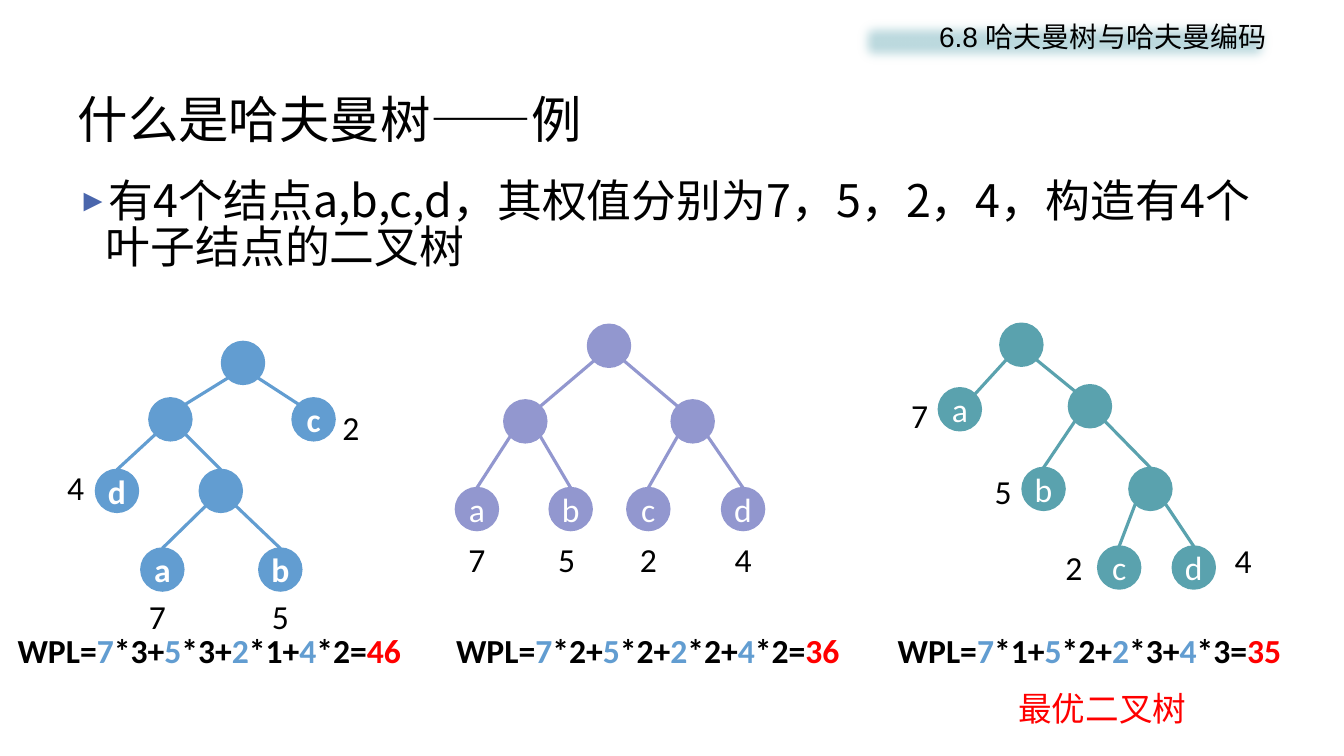
from dataclasses import dataclass

import pptx
import pptx.dml.color
import pptx.enum.shapes
import pptx.enum.text
import pptx.oxml
import pptx.oxml.ns
import pptx.util

ALIGN = pptx.enum.text.PP_ALIGN
ANCHOR = pptx.enum.text.MSO_ANCHOR
SHAPE = pptx.enum.shapes.MSO_SHAPE
NSDECL = pptx.oxml.ns.nsdecls("a")


@dataclass(frozen=True)
class Theme:
    text: str = "000000"
    inverse: str = "FFFFFF"
    blue: str = "629DD1"
    violet: str = "9297CF"
    teal: str = "5AA2AE"
    bullet: str = "4A66AC"
    result: str = "FF0000"
    banner: str = "BDDADF"
    chinese: str = "Noto Sans CJK SC"
    latin: str = "Calibri"
    header: str = "Arial"
    title_size: int = 36
    body_size: int = 32
    label_size: int = 24
    header_size: int = 20


THEME = Theme()
NODE = 42       # node diameter
NEAR, FAR = 6, 36   # diagonal points of a node's circle
WEIGHTS = {"a": 7, "b": 5, "c": 2, "d": 4}

# node: (x, y, parent); weight: (x, y); all relative to the tree's origin
TREES = [
    dict(origin=(54, 339), color=THEME.blue, bold=True, formula=(-5, 620, 425, 50),
         nodes={"root": (166, 0, None), "left": (94, 56, "root"),
                "d": (41, 127, "left"), "inner": (144, 127, "left"),
                "c": (236, 56, "root"), "a": (86, 205, "inner"),
                "b": (203, 205, "inner")},
         weights={"c": (273, 60), "d": (0, 119), "a": (81, 247), "b": (203, 247)}),
    dict(origin=(452, 322), color=THEME.violet, bold=False, formula=(426, 620, 433, 50),
         nodes={"root": (131, 0, None), "left": (48, 75, "root"),
                "a": (0, 162, "left"), "b": (93, 162, "left"),
                "right": (214, 75, "root"), "c": (170, 162, "right"),
                "d": (264, 162, "right")},
         weights={"a": (0, 208), "b": (89, 208), "c": (170, 208), "d": (264, 208)}),
    dict(origin=(891, 321), color=THEME.teal, bold=False, formula=(868, 620, 425, 50),
         nodes={"root": (101, 0, None), "a": (40, 64, "root"),
                "right": (169, 61, "root"), "b": (123, 143, "right"),
                "inner": (229, 143, "right"), "c": (198, 221, "inner"),
                "d": (272, 221, "inner")},
         weights={"a": (0, 66), "b": (83, 141), "c": (153, 217), "d": (321, 210)}),
]


def px(*lengths):
    return [pptx.util.Emu(length * 9144) for length in lengths]


def rgb(color):
    return pptx.dml.color.RGBColor.from_string(color)


def style(run, size, face, color, bold=False):
    """Format a run, using the same face for Latin and East Asian text."""
    font = run.font
    font.size = pptx.util.Pt(size)
    font.bold = bold
    font.color.rgb = rgb(color)
    font.name = face
    run._r.get_or_add_rPr().append(
        pptx.oxml.parse_xml(f'<a:ea {NSDECL} typeface="{face}"/>'))


def place(shape, box):
    shape.left, shape.top, shape.width, shape.height = px(*box)


def add_label(shapes, box, parts, face=THEME.latin, bold=False, align=ALIGN.CENTER, wrap=True):
    """Add a text box whose parts are (text, color) pairs."""
    frame = shapes.add_textbox(*px(*box)).text_frame
    frame.word_wrap = wrap
    paragraph = frame.paragraphs[0]
    paragraph.alignment = align
    for text, color in parts:
        run = paragraph.add_run()
        run.text = text
        style(run, THEME.label_size, face, color, bold)


def fill_title(title, box):
    place(title, box)
    frame = title.text_frame
    frame.text = "什么是哈夫曼树——例"
    frame.auto_size = pptx.enum.text.MSO_AUTO_SIZE.NONE
    frame.vertical_anchor = ANCHOR.MIDDLE
    frame.paragraphs[0].alignment = ALIGN.LEFT
    style(frame.paragraphs[0].runs[0], THEME.title_size, THEME.chinese, THEME.text)


def fill_body(body, box):
    place(body, box)
    frame = body.text_frame
    frame.text = "有4个结点a,b,c,d，其权值分别为7，5，2，4，构造有4个叶子结点的二叉树"
    frame.auto_size = pptx.enum.text.MSO_AUTO_SIZE.NONE
    paragraph = frame.paragraphs[0]
    paragraph.space_before = pptx.util.Pt(0)
    paragraph.line_spacing = 0.85
    properties = paragraph._p.get_or_add_pPr()
    indent, = px(28)
    properties.set("marL", str(indent))
    properties.set("indent", str(-indent))
    for bullet in (f'<a:buClr {NSDECL}><a:srgbClr val="{THEME.bullet}"/></a:buClr>',
                   f'<a:buSzPct {NSDECL} val="70000"/>',
                   f'<a:buFont {NSDECL} typeface="{THEME.header}"/>',
                   f'<a:buChar {NSDECL} char="►"/>'):
        properties.append(pptx.oxml.parse_xml(bullet))
    style(paragraph.runs[0], THEME.body_size, THEME.chinese, THEME.text)


def add_banner(shapes, box):
    """Add the soft-edged chapter heading."""
    banner = shapes.add_shape(SHAPE.RECTANGLE, *px(*box))
    banner.fill.solid()
    banner.fill.fore_color.rgb = rgb(THEME.banner)
    banner.line.fill.background()
    banner._element.spPr.append(pptx.oxml.parse_xml(
        f'<a:effectLst {NSDECL}><a:softEdge rad="112500"/></a:effectLst>'))
    frame = banner.text_frame
    frame.text = "6.8 哈夫曼树与哈夫曼编码"
    frame.vertical_anchor = ANCHOR.TOP
    frame.paragraphs[0].alignment = ALIGN.RIGHT
    style(frame.paragraphs[0].runs[0], THEME.header_size, THEME.header, THEME.text)


def add_node(shapes, x, y, label, color, bold):
    node = shapes.add_shape(SHAPE.OVAL, *px(x, y, NODE, NODE))
    node.shadow.inherit = False
    node.fill.solid()
    node.fill.fore_color.rgb = node.line.color.rgb = rgb(color)
    node.line.width = pptx.util.Pt(1.5)
    if label:
        frame = node.text_frame
        frame.text = label
        frame.word_wrap = False
        frame.vertical_anchor = ANCHOR.MIDDLE
        frame.margin_left = frame.margin_right = frame.margin_top = frame.margin_bottom = 0
        frame.paragraphs[0].alignment = ALIGN.CENTER
        style(frame.paragraphs[0].runs[0], THEME.label_size, THEME.latin, THEME.inverse, bold)
    return node


def add_edge(shapes, parent, child, child_node, below_root, color):
    """Join parent to child: at the near diagonal below the root, else at the top."""
    (parent_x, parent_y), (child_x, child_y) = parent, child
    start, end = (NEAR, FAR) if child_x < parent_x else (FAR, NEAR)
    finish = (child_x + end, child_y + NEAR) if below_root else (child_x + NODE // 2, child_y)
    edge = shapes.add_connector(pptx.enum.shapes.MSO_CONNECTOR.STRAIGHT,
                                *px(parent_x + start, parent_y + FAR, *finish))
    if not below_root:
        edge.end_connect(child_node, 0)
    edge.line.color.rgb = rgb(color)
    edge.line.width = pptx.util.Pt(2.25)
    edge._element.spPr.append(pptx.oxml.parse_xml(f"<a:effectLst {NSDECL}/>"))


def add_tree(slide_shapes, origin, color, bold, nodes, weights):
    shapes = slide_shapes.add_group_shape().shapes
    left, top = origin
    corners = {name: (left + x, top + y) for name, (x, y, _) in nodes.items()}
    circles = {name: add_node(shapes, *corner, name if name in WEIGHTS else "", color, bold)
               for name, corner in corners.items()}
    for name, (_, _, parent) in nodes.items():
        if parent:
            add_edge(shapes, corners[parent], corners[name], circles[name],
                     parent == "root", color)
    for leaf, (x, y) in weights.items():
        add_label(shapes, (left + x, top + y, NODE, 50), [(str(WEIGHTS[leaf]), THEME.text)])


def depth(nodes, name):
    parent = nodes[name][2]
    return 1 + depth(nodes, parent) if parent else 0


def add_formula(shapes, box, nodes):
    """Write the weighted path length, worked out from the leaf depths."""
    parts, total, lead = [], 0, "WPL="
    for leaf, weight in WEIGHTS.items():
        level = depth(nodes, leaf)
        parts += [(lead, THEME.text), (str(weight), THEME.blue)]
        lead = f"*{level}+"
        total += weight * level
    parts += [(lead.replace("+", "="), THEME.text), (str(total), THEME.result)]
    add_label(shapes, box, parts, bold=True)


def main():
    presentation = pptx.Presentation()
    presentation.slide_width, presentation.slide_height = px(1333, 750)
    slide = presentation.slides.add_slide(presentation.slide_layouts[1])
    shapes = slide.shapes
    fill_title(shapes.title, (67, 80, 1200, 75))
    fill_body(slide.placeholders[1], (67, 175, 1200, 133))
    add_banner(shapes, (846, 14, 420, 54))
    for tree in TREES:
        add_tree(shapes, tree["origin"], tree["color"], tree["bold"],
                 tree["nodes"], tree["weights"])
        add_formula(shapes, tree["formula"], tree["nodes"])
    add_label(shapes, (1000, 678, 188, 50), [("最优二叉树", THEME.result)],
              face=THEME.chinese, align=ALIGN.LEFT, wrap=False)
    presentation.save("out.pptx")


if __name__ == "__main__":
    main()
